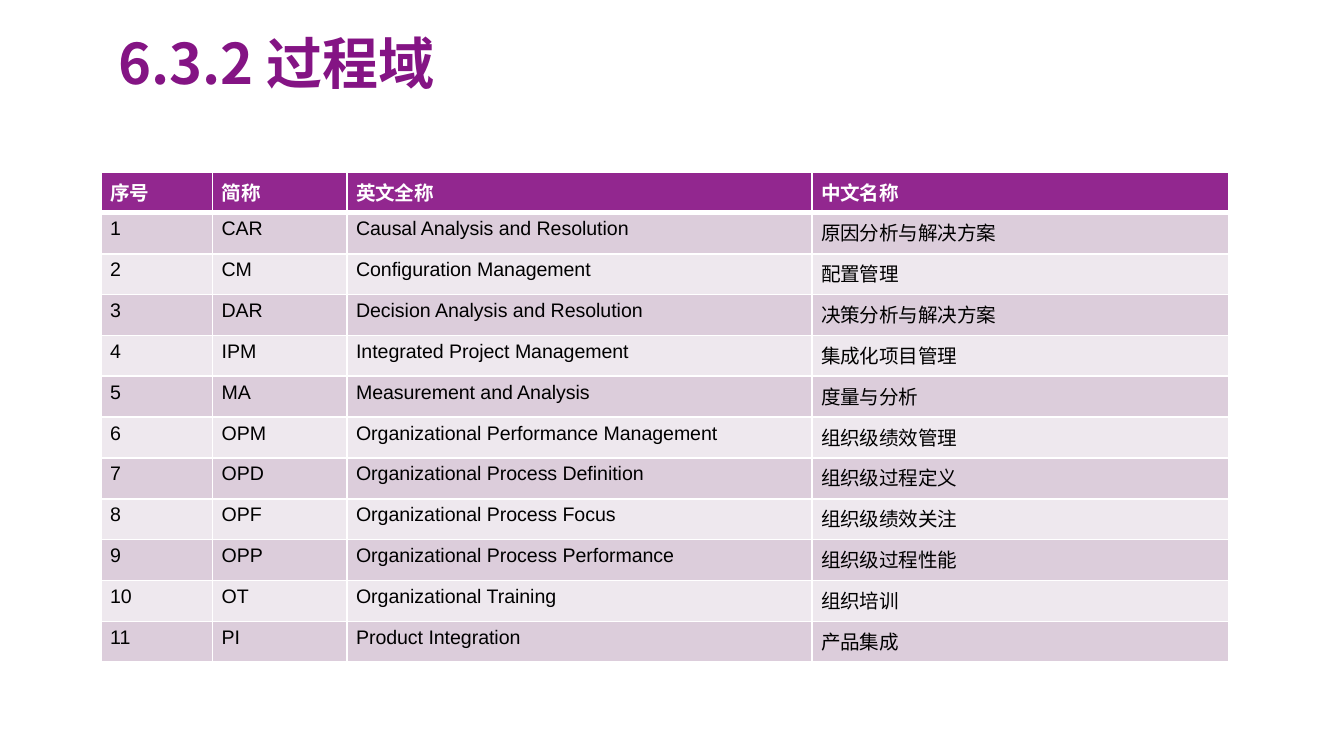
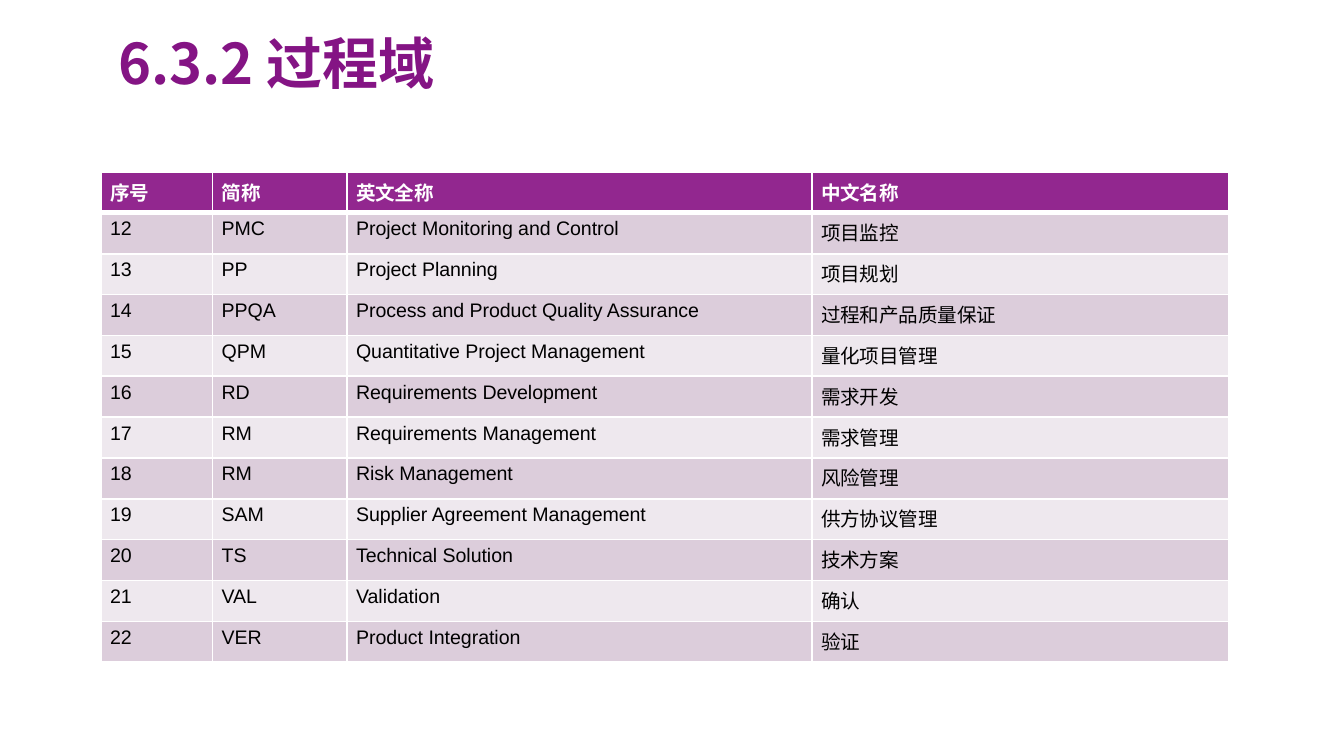
from lxml import etree
from pptx import Presentation, util as u
from pptx.dml.color import RGBColor
from pptx.enum import text
from pptx.oxml.ns import qn

COLORS = {
    "title": "841484",
    "header": "92278F",
    "odd_row": "DCCDDB",
    "even_row": "EEE8EE",
    "white": "FFFFFF",
    "black": "000000",
}
CJK_FONT = "Noto Sans CJK SC"
WIDTH = 10
HEIGHT = WIDTH * 9 / 16
MARGINS = dict(margin_left=0.07, margin_right=0.07, margin_top=0.04, margin_bottom=0.04)

TITLE = "6.3.2 过程域"
HEADINGS = ("序号", "简称", "英文全称", "中文名称")
COLUMN_WIDTHS = (0.83, 1, 3.46, 3.1)
TABLE_LEFT, TABLE_TOP, ROW_HEIGHT = 0.75, 1.28, 3.65 / 12

PROCESS_AREAS = [
    ("CAR", "Causal Analysis and Resolution", "原因分析与解决方案"),
    ("CM", "Configuration Management", "配置管理"),
    ("DAR", "Decision Analysis and Resolution", "决策分析与解决方案"),
    ("IPM", "Integrated Project Management", "集成化项目管理"),
    ("MA", "Measurement and Analysis", "度量与分析"),
    ("OPM", "Organizational Performance Management", "组织级绩效管理"),
    ("OPD", "Organizational Process Definition", "组织级过程定义"),
    ("OPF", "Organizational Process Focus", "组织级绩效关注"),
    ("OPP", "Organizational Process Performance", "组织级过程性能"),
    ("OT", "Organizational Training", "组织培训"),
    ("PI", "Product Integration", "产品集成"),
    ("PMC", "Project Monitoring and Control", "项目监控"),
    ("PP", "Project Planning", "项目规划"),
    ("PPQA", "Process and Product Quality Assurance", "过程和产品质量保证"),
    ("QPM", "Quantitative Project Management", "量化项目管理"),
    ("RD", "Requirements Development", "需求开发"),
    ("RM", "Requirements Management", "需求管理"),
    ("RM", "Risk Management", "风险管理"),
    ("SAM", "Supplier Agreement Management", "供方协议管理"),
    ("TS", "Technical Solution", "技术方案"),
    ("VAL", "Validation", "确认"),
    ("VER", "Product Integration", "验证"),
]
AREAS_PER_SLIDE = 11


def write(frame, words, size=10.5, font="Arial", color="black", bold=False):
    """Set the frame's margins and add a run to its first paragraph."""
    run = frame.paragraphs[0].add_run()
    run.text = words
    run.font.size = u.Pt(size)
    run.font.bold = bold
    run.font.color.rgb = RGBColor.from_string(COLORS[color])
    run.font.name = font
    etree.SubElement(run.font._element, qn("a:ea")).set("typeface", CJK_FONT)


def add_borders(cell, bottom):
    """Draw white cell borders: 1 pt, except the bottom one."""
    borders = (("lnL", 1), ("lnR", 1), ("lnT", 1), ("lnB", bottom))
    for position, (side, points) in enumerate(borders):
        line = etree.Element(qn(f"a:{side}"), w=str(u.Pt(points)))
        fill = etree.SubElement(line, qn("a:solidFill"))
        etree.SubElement(fill, qn("a:srgbClr")).set("val", COLORS["white"])
        cell._tc.get_or_add_tcPr().insert(position, line)


deck = Presentation()
deck.slide_width, deck.slide_height = u.Inches(WIDTH), u.Inches(HEIGHT)

for first in range(0, len(PROCESS_AREAS), AREAS_PER_SLIDE):
    slide = deck.slides.add_slide(deck.slide_layouts[6])

    title = slide.shapes.add_textbox(
        u.Inches(0.81), u.Inches(0.2), u.Inches(4.61), u.Inches(0.53)
    ).text_frame
    title.word_wrap = True
    title.vertical_anchor = text.MSO_ANCHOR.MIDDLE
    for side, inches in MARGINS.items():
        setattr(title, side, u.Inches(inches))
    write(title, TITLE, size=30, font=CJK_FONT, color="title", bold=True)

    areas = PROCESS_AREAS[first:first + AREAS_PER_SLIDE]
    rows = [HEADINGS] + [(str(n), *area) for n, area in enumerate(areas, first + 1)]
    table = slide.shapes.add_table(
        len(rows), len(HEADINGS), u.Inches(TABLE_LEFT), u.Inches(TABLE_TOP),
        u.Inches(sum(COLUMN_WIDTHS)), u.Inches(ROW_HEIGHT * len(rows))
    ).table
    for column, width in zip(table.columns, COLUMN_WIDTHS):
        column.width = u.Inches(width)

    for r, row in enumerate(rows):
        is_header = r == 0
        band = "header" if is_header else "odd_row" if r % 2 else "even_row"
        for c, words in enumerate(row):
            cell = table.cell(r, c)
            for side, inches in MARGINS.items():
                setattr(cell, side, u.Inches(inches))
            cell.fill.solid()
            cell.fill.fore_color.rgb = RGBColor.from_string(COLORS[band])
            add_borders(cell, bottom=3 if is_header else 1)
            write(cell.text_frame, words, bold=is_header,
                  color="white" if is_header else "black")

deck.save("out.pptx")
